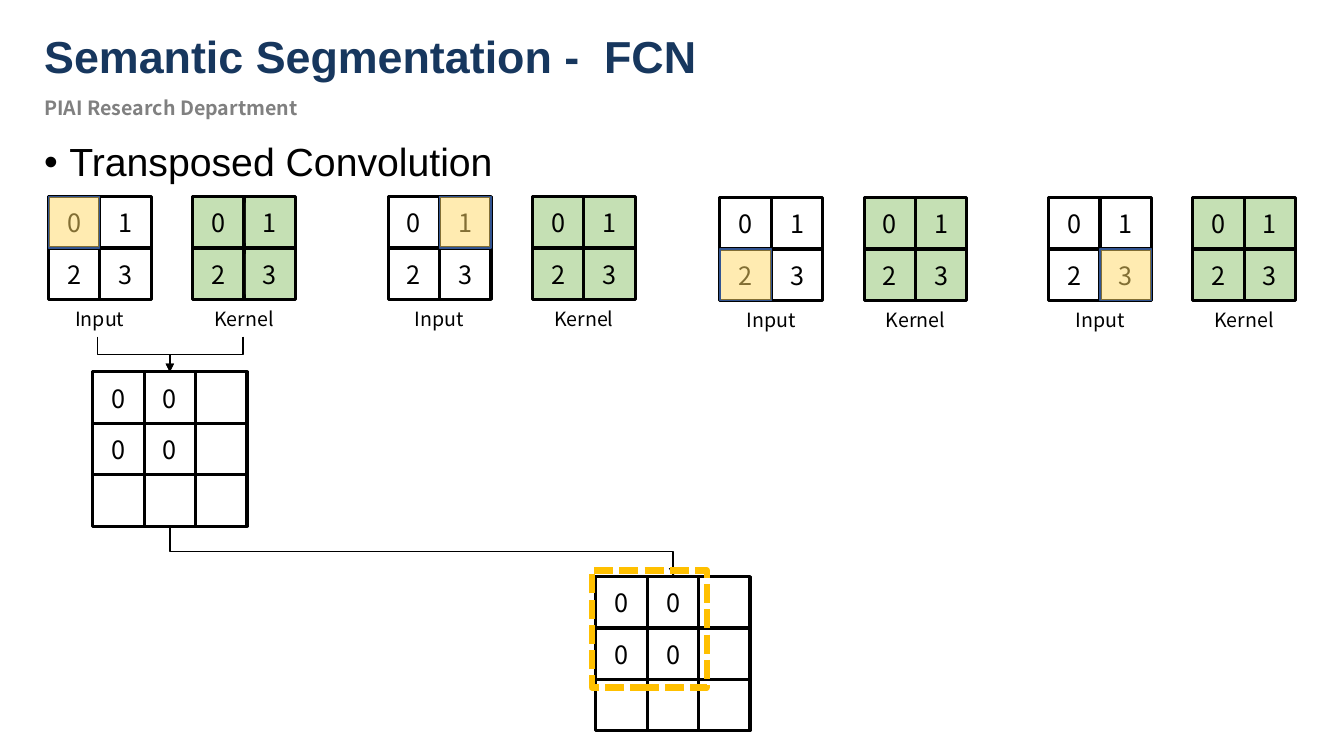
from dataclasses import dataclass
from typing import Any, Optional

from lxml.etree import SubElement
from pptx import Presentation
from pptx.dml.color import RGBColor
from pptx.enum.dml import MSO_LINE
from pptx.enum.shapes import MSO_CONNECTOR, MSO_SHAPE
from pptx.enum.text import MSO_ANCHOR, MSO_AUTO_SIZE, PP_ALIGN
from pptx.oxml.ns import qn
from pptx.util import Inches, Pt

COLORS = {
    "title": "17375E", "department": "808080", "ink": "000000",
    "paper": "FFFFFF", "kernel": "C5E0B4", "active": "FFD966",
    "active_edge": "325491", "window": "FFC000",
}
SANS, CJK = "Arial", "Noto Sans CJK KR"
CELL = 0.51
KERNEL_OFFSET = 1.43
DIGIT_BOX = (0.47, 0.4)

TITLE = {"name": SANS, "size": Pt(32), "bold": True}
DEPARTMENT = {"name": CJK, "size": Pt(14), "bold": True}
TOPIC = {"name": SANS, "size": Pt(28)}
DIGIT = {"name": CJK, "size": Pt(18)}
CAPTION = {"name": CJK, "size": Pt(14)}
GROW = {"word_wrap": True, "auto_size": MSO_AUTO_SIZE.SHAPE_TO_FIT_TEXT}
FIXED = {"word_wrap": True, "auto_size": MSO_AUTO_SIZE.NONE}
CENTRED = {"alignment": PP_ALIGN.CENTER}


@dataclass
class Matrix:
    left: float
    top: float
    rows: tuple[str, ...]
    fill: str = "paper"

    @property
    def side(self) -> float:
        return round(CELL * len(self.rows), 2)

    @property
    def top_middle(self) -> tuple[float, float]:
        return self.left + self.side / 2, self.top

    @property
    def bottom_middle(self) -> tuple[float, float]:
        return self.left + self.side / 2, self.top + self.side


@dataclass
class Step:
    """One input and kernel pair, with the (row, column) of the active input cell."""
    left: float
    top: float
    active: tuple[int, int]


STEPS = [
    Step(0.48, 1.95, (0, 0)),
    Step(3.85, 1.95, (0, 1)),
    Step(7.14, 1.96, (1, 0)),
    Step(10.4, 1.96, (1, 1)),
]
PRODUCT = Matrix(0.92, 3.69, ("00 ", "00 ", "   "))
RESULT = Matrix(5.91, 5.72, PRODUCT.rows)


def apply(target: Any, values: dict[str, Any]) -> None:
    for attribute, value in values.items():
        setattr(target, attribute, value)


def rgb(color: str) -> RGBColor:
    return RGBColor.from_string(COLORS[color])


def set_line(line: Any, color: str, width: float) -> None:
    line.color.rgb = rgb(color)
    line.width = Pt(width)


def add_text(shapes: Any, text: str, box: tuple[float, ...], font: dict[str, Any],
             color: str = "ink", frame: dict[str, Any] = GROW,
             layout: Optional[dict[str, Any]] = None) -> Any:
    label = shapes.add_textbox(*map(Inches, box))
    apply(label.text_frame, frame)
    paragraph = label.text_frame.paragraphs[0]
    run = paragraph.add_run()
    run.text = text
    apply(paragraph, layout or {})
    apply(run.font, font)
    run.font.color.rgb = rgb(color)
    return label


def add_rectangle(shapes: Any, box: tuple[float, ...], fill: Optional[str],
                  edge: str, width: float) -> Any:
    rectangle = shapes.add_shape(MSO_SHAPE.RECTANGLE, *map(Inches, box))
    rectangle.shadow.inherit = False
    if fill:
        rectangle.fill.solid()
        rectangle.fill.fore_color.rgb = rgb(fill)
    else:
        rectangle.fill.background()
    set_line(rectangle.line, edge, width)
    return rectangle


def add_line(shapes: Any, kind: Any, ends: tuple[float, ...], width: float) -> Any:
    connector = shapes.add_connector(kind, *map(Inches, ends))
    set_line(connector.line, "ink", width)
    SubElement(connector._element.spPr, qn("a:effectLst"))
    return connector


def add_matrix(shapes: Any, matrix: Matrix) -> None:
    left, top, side = matrix.left, matrix.top, matrix.side
    frame = add_rectangle(shapes, (left, top, side, side), matrix.fill, "ink", 2.25)
    count = len(matrix.rows)
    for index in range(1, count):
        x, y = left + index * CELL, top + index * CELL
        across = add_line(shapes, MSO_CONNECTOR.STRAIGHT, (left, y, left + side, y), 2.25)
        down = add_line(shapes, MSO_CONNECTOR.STRAIGHT, (x, top, x, top + side), 2.25)
        if 2 * index == count:
            for divider, begin, end in ((across, 1, 3), (down, 0, 2)):
                divider.begin_connect(frame, begin)
                divider.end_connect(frame, end)
    for row, digits in enumerate(matrix.rows):
        for column, digit in enumerate(digits):
            if digit.strip():
                box = (left + column * CELL + 0.02, top + row * CELL + 0.06, *DIGIT_BOX)
                label = add_text(shapes, digit, box, DIGIT, layout=CENTRED,
                                 frame=GROW | {"vertical_anchor": MSO_ANCHOR.MIDDLE})
                if matrix.fill != "paper":
                    label.fill.solid()
                    label.fill.fore_color.rgb = rgb(matrix.fill)


def add_step(shapes: Any, step: Step) -> None:
    for caption, offset, fill in (("Input", 0, "paper"), ("Kernel", KERNEL_OFFSET, "kernel")):
        matrix = Matrix(step.left + offset, step.top, ("01", "23"), fill)
        add_matrix(shapes, matrix)
        add_text(shapes, caption, (matrix.left, step.top + 1.05, matrix.side, 0.34),
                 CAPTION, layout=CENTRED)
    row, column = step.active
    box = (step.left + column * CELL, step.top + row * CELL, CELL, CELL)
    active = add_rectangle(shapes, box, "active", "active_edge", 1)
    color = active._element.spPr.find(qn("a:solidFill"))[0]
    SubElement(color, qn("a:alpha"), val="51000")


def add_bent_arrow(shapes: Any, start: tuple[float, float], end: tuple[float, float]) -> None:
    """Draw an arrow that goes down, across and down, as a rotated elbow."""
    arrow = add_line(shapes, MSO_CONNECTOR.ELBOW, (*start, *end), 1)
    across, down = end[0] - start[0], end[1] - start[1]
    width, height = down, abs(across)
    apply(arrow, {
        "left": Inches((start[0] + end[0] - width) / 2),
        "top": Inches((start[1] + end[1] - height) / 2),
        "width": Inches(width), "height": Inches(height),
    })
    transform = arrow._element.spPr.find(qn("a:xfrm"))
    for flip in ("flipH", "flipV"):
        transform.attrib.pop(flip, None)
    transform.set("rot", str((270 if across > 0 else 90) * 60000))
    if across > 0:
        transform.set("flipH", "1")
    SubElement(arrow.line._get_or_add_ln(), qn("a:tailEnd"), type="triangle")


def add_topic(shapes: Any) -> None:
    topic = add_text(shapes, "Transposed Convolution", (0.34, 1.37, 12.65, 5.89), TOPIC,
                     frame=FIXED, layout={"line_spacing": 0.9})
    properties = topic.text_frame.paragraphs[0]._p.get_or_add_pPr()
    properties.set("marL", str(Inches(0.25)))
    properties.set("indent", str(Inches(-0.25)))
    SubElement(properties, qn("a:buFont"), typeface=SANS)
    SubElement(properties, qn("a:buChar"), char="•")


def main() -> None:
    deck = Presentation()
    apply(deck, {"slide_width": Inches(13.33), "slide_height": Inches(7.5)})
    shapes = deck.slides.add_slide(deck.slide_layouts[6]).shapes

    add_text(shapes, "Semantic Segmentation -  FCN", (0.34, 0.24, 11.24, 0.64), TITLE, "title")
    add_text(shapes, "PIAI Research Department", (0.34, 0.9, 8.55, 0.34),
             DEPARTMENT, "department")
    add_topic(shapes)
    for matrix in (PRODUCT, RESULT):
        add_matrix(shapes.add_group_shape().shapes, matrix)
    for step in STEPS:
        add_step(shapes.add_group_shape().shapes, step)

    for caption_x in (0.97, 2.41):
        add_bent_arrow(shapes, (caption_x, 3.34), PRODUCT.top_middle)
    add_bent_arrow(shapes, PRODUCT.bottom_middle, RESULT.top_middle)
    window = add_rectangle(shapes, (5.87, 5.66, 1.14, 1.16), None, "window", 4.5)
    window.line.dash_style = MSO_LINE.SQUARE_DOT
    deck.save("out.pptx")


if __name__ == "__main__":
    main()
